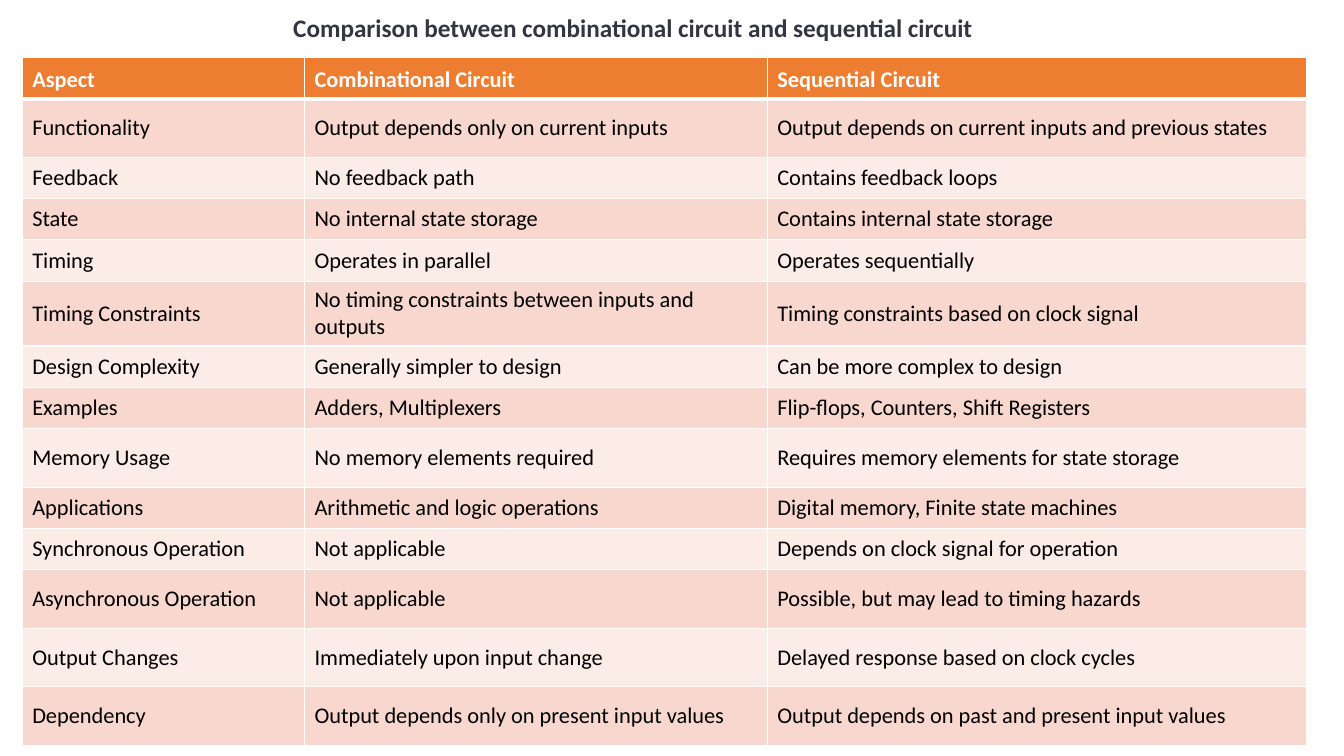
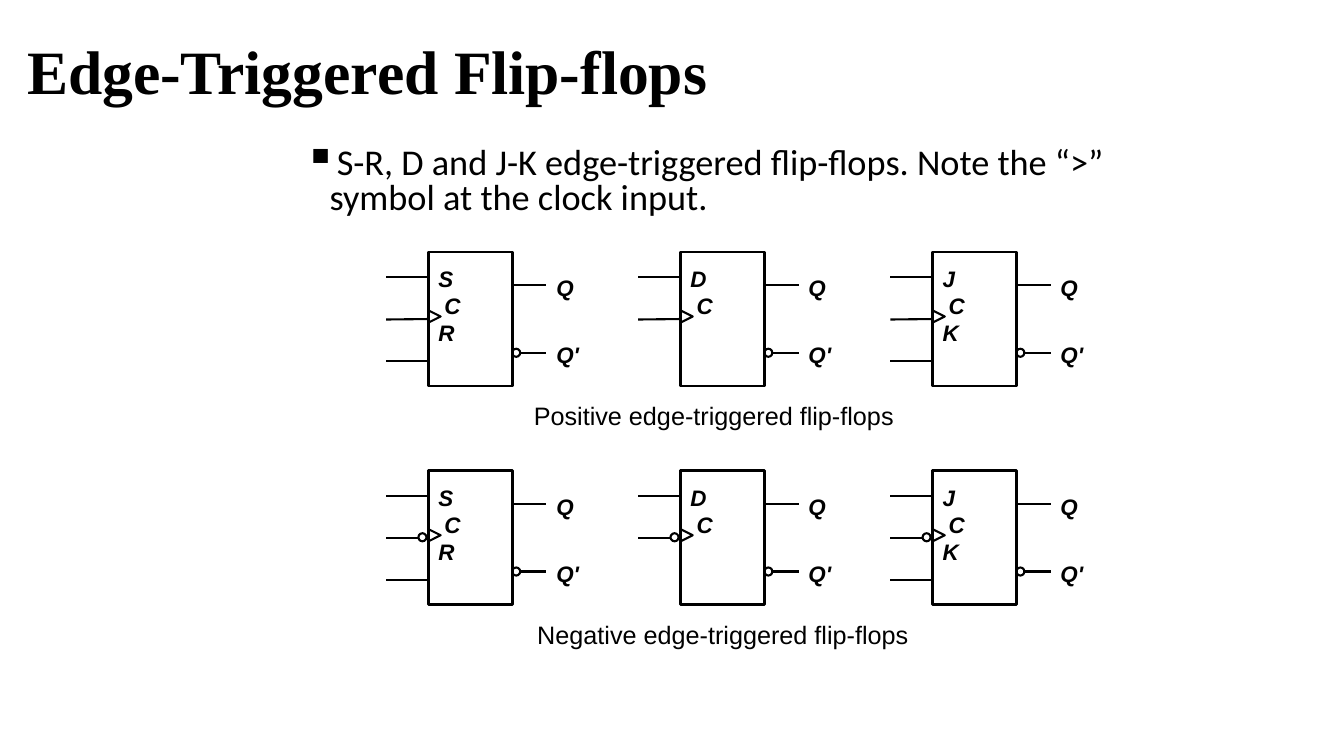
from lxml.etree import SubElement
from pptx import Presentation
from pptx.dml.color import RGBColor
from pptx.enum.shapes import MSO_CONNECTOR, MSO_SHAPE
from pptx.enum.text import MSO_ANCHOR, PP_ALIGN
from pptx.oxml.ns import qn
from pptx.util import Inches, Pt

COLORS = {
    "black": "000000",
    "white": "FFFFFF",
    "heading": "343541",
    "header": "ED7D31",
    "odd": "F8D7CE",
    "even": "FCECE8",
}


def style_paragraph(paragraph, size, font, color, bold=False, italic=False):
    for run in paragraph.runs:
        run.font.size = Pt(size)
        run.font.name = font
        run.font.bold = bold
        run.font.italic = italic
        run.font.color.rgb = RGBColor.from_string(COLORS[color])


def add_text(shapes, box, text, size, font, color="black", bold=False, italic=False):
    textbox = shapes.add_textbox(*[Inches(length) for length in box])
    frame = textbox.text_frame
    frame.word_wrap = True
    frame.text = text
    for paragraph in frame.paragraphs:
        style_paragraph(paragraph, size, font, color, bold, italic)
    return frame


prs = Presentation()
prs.slide_width = Inches(13.33)
prs.slide_height = Inches(7.5)
blank = prs.slide_layouts[6]

comparison = prs.slides.add_slide(blank)
rows = [
    (0.41, "Aspect", "Combinational Circuit", "Sequential Circuit"),
    (0.58, "Functionality", "Output depends only on current inputs",
     "Output depends on current inputs and previous states"),
    (0.41, "Feedback", "No feedback path", "Contains feedback loops"),
    (0.41, "State", "No internal state storage", "Contains internal state storage"),
    (0.41, "Timing", "Operates in parallel", "Operates sequentially"),
    (0.64, "Timing Constraints", "No timing constraints between inputs and outputs",
     "Timing constraints based on clock signal"),
    (0.41, "Design Complexity", "Generally simpler to design", "Can be more complex to design"),
    (0.41, "Examples", "Adders, Multiplexers", "Flip-flops, Counters, Shift Registers"),
    (0.58, "Memory Usage", "No memory elements required",
     "Requires memory elements for state storage"),
    (0.41, "Applications", "Arithmetic and logic operations",
     "Digital memory, Finite state machines"),
    (0.41, "Synchronous Operation", "Not applicable", "Depends on clock signal for operation"),
    (0.58, "Asynchronous Operation", "Not applicable", "Possible, but may lead to timing hazards"),
    (0.58, "Output Changes", "Immediately upon input change",
     "Delayed response based on clock cycles"),
    (0.58, "Dependency", "Output depends only on present input values",
     "Output depends on past and present input values"),
]
aspects = comparison.shapes.add_table(
    len(rows), 3, Inches(0.22), Inches(0.57), Inches(12.74), Inches(6.82)).table
for column, width in zip(aspects.columns, (2.8, 4.59, 5.35)):
    column.width = Inches(width)

for row_index, (height, *texts) in enumerate(rows):
    is_header = row_index == 0
    aspects.rows[row_index].height = Inches(height)
    band = "header" if is_header else "odd" if row_index % 2 else "even"
    borders = {"lnL": 1, "lnR": 1, "lnT": 3 if row_index == 1 else 1, "lnB": 3 if is_header else 1}
    for column_index, text in enumerate(texts):
        cell = aspects.cell(row_index, column_index)
        cell.text = text
        cell.vertical_anchor = MSO_ANCHOR.BOTTOM if is_header else MSO_ANCHOR.MIDDLE
        style_paragraph(cell.text_frame.paragraphs[0], 16, "Calibri",
                        "white" if is_header else "black", is_header)
        properties = cell._tc.get_or_add_tcPr()
        for side, weight in borders.items():
            border = SubElement(properties, qn(f"a:{side}"), w=str(Pt(weight)))
            border_fill = SubElement(border, qn("a:solidFill"))
            SubElement(border_fill, qn("a:srgbClr"), val=COLORS["white"])
        cell.fill.solid()
        cell.fill.fore_color.rgb = RGBColor.from_string(COLORS[band])

add_text(comparison.shapes, (2.81, 0.07, 8.87, 0.4),
         "Comparison between combinational circuit and sequential circuit",
         18, "Calibri", "heading", bold=True)

flip_flops = prs.slides.add_slide(blank)
title = add_text(flip_flops.shapes, (0.17, 0.01, 11.5, 1.45), "Edge-Triggered Flip-flops",
                 44, "Times New Roman", bold=True)
title.vertical_anchor = MSO_ANCHOR.MIDDLE
title.paragraphs[0].line_spacing = 0.9

note = add_text(flip_flops.shapes, (2.92, 1.42, 8.42, 0.83),
                "S-R, D and J-K edge-triggered flip-flops. Note the “>” symbol at the clock input.",
                25.9, "Calibri").paragraphs[0]
note.line_spacing = 0.8
bullet = note._p.get_or_add_pPr()
bullet.set("marL", str(Inches(0.25)))
bullet.set("indent", str(Inches(-0.25)))
SubElement(bullet, qn("a:buSzPct"), val="120000")
SubElement(bullet, qn("a:buChar"), char="▪")

edges = [
    (2.5, False, 5.08, "Positive edge-triggered flip-flops"),
    (4.67, True, 5.17, "Negative edge-triggered flip-flops"),
]
inputs = ["S\nC\nR", "D\nC", "J\nC\nK"]

for top, negative, caption_left, caption in edges:
    for index, pins in enumerate(inputs):
        left = 4.25 + 2.5 * index
        right = left + 0.83
        symbol = flip_flops.shapes.add_group_shape().shapes

        outlines = [
            (MSO_SHAPE.RECTANGLE, left, top, 0.83, 1.33, 2),
            (MSO_SHAPE.OVAL, right, top + 0.96, 0.08, 0.08, 1.5),
            (MSO_SHAPE.ISOSCELES_TRIANGLE, left, top + 0.58, 0.12, 0.12, 1.5),
        ]
        if negative:
            outlines.append((MSO_SHAPE.OVAL, left - 0.1, top + 0.62, 0.08, 0.08, 1.5))
        parts = []
        for preset, x, y, width, height, weight in outlines:
            part = symbol.add_shape(preset, Inches(x), Inches(y), Inches(width), Inches(height))
            part.shadow.inherit = False
            part.fill.background()
            part.line.color.rgb = RGBColor.from_string(COLORS["black"])
            part.line.width = Pt(weight)
            parts.append(part)
        body, _, clock_mark = parts[:3]
        clock_mark.rotation = 90

        clock_end = left - 0.1 if negative else left
        wires = [
            (left - 0.42, clock_end, 0.67),
            (left - 0.42, left, 0.25),
            (right, right + 0.34, 0.33),
            (right + 0.08, right + 0.34, 1),
        ]
        if pins.count("\n") == 2:
            wires.append((left - 0.42, left, 1.08))
        for start, end, offset in wires:
            wire = symbol.add_connector(MSO_CONNECTOR.STRAIGHT, Inches(start), Inches(top + offset),
                                        Inches(end), Inches(top + offset))
            wire.line.color.rgb = RGBColor.from_string(COLORS["black"])
            wire.line.width = Pt(1.5)
            SubElement(wire._element.spPr, qn("a:effectLst"))
            if offset == 0.67 and not negative:
                wire.end_connect(body, 1)

        pin_labels = add_text(symbol, (left, top + 0.08, 0.58, 0.91), pins, 16, "Arial",
                              bold=True, italic=True)
        pin_labels.paragraphs[1]._p.get_or_add_pPr().set("marL", str(Inches(0.06)))
        output_labels = add_text(symbol, (right + 0.34, top + 0.17, 0.5, 1.06), "Q\nQ'", 16, "Arial",
                                 bold=True, italic=True)
        for paragraph in (*pin_labels.paragraphs, *output_labels.paragraphs):
            paragraph.line_spacing = Pt(19.4)
        output_labels.paragraphs[1].space_before = Pt(28.5)

    label = add_text(flip_flops.shapes, (caption_left, top + 1.42, 4, 0.4), caption, 18, "Arial")
    label.paragraphs[0].alignment = PP_ALIGN.CENTER

prs.save("out.pptx")
